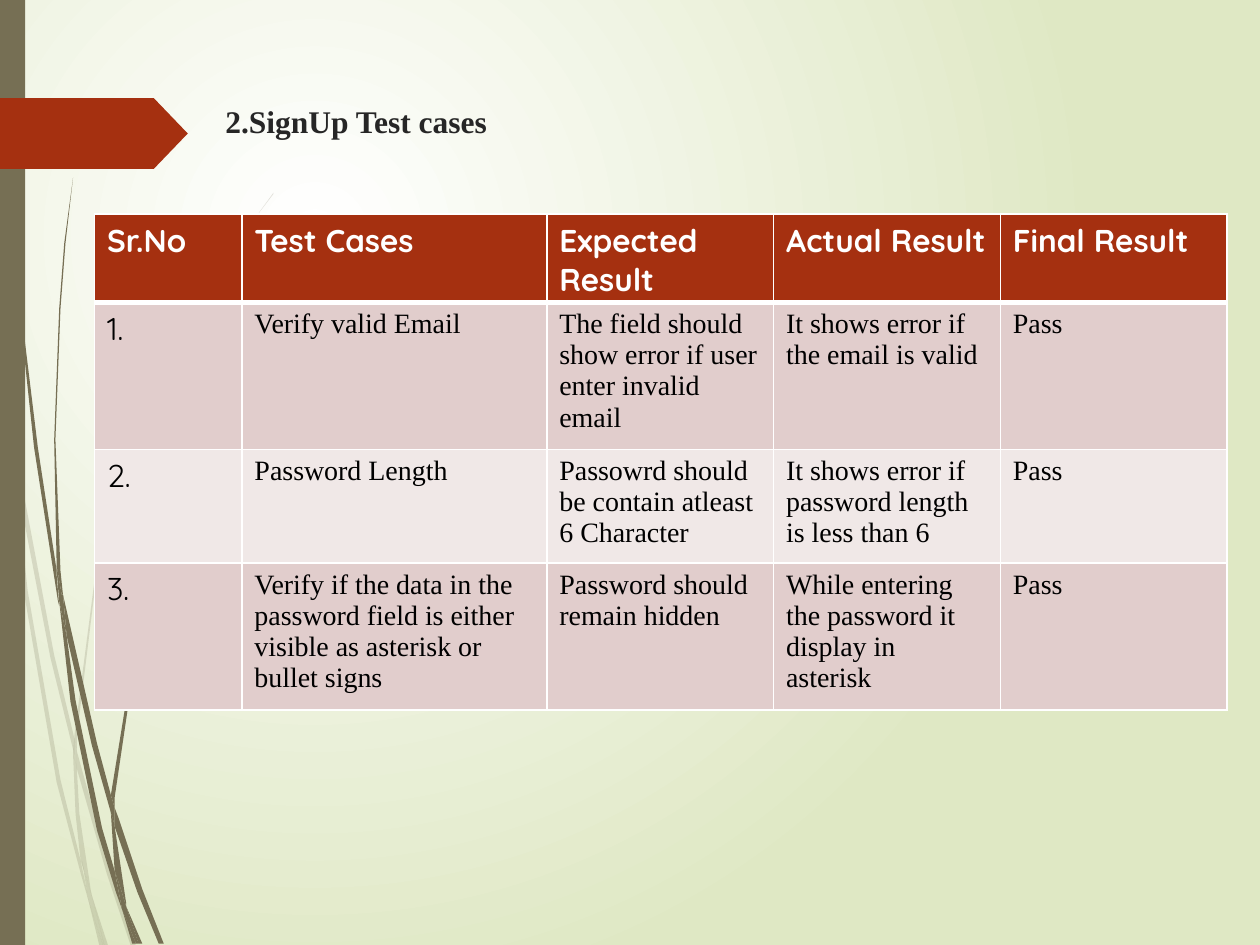
from lxml import etree
from pptx import Presentation, util as u
from pptx.dml.color import RGBColor
from pptx.enum import shapes, text
from pptx.oxml.ns import qn

OLIVE, RUST, WHITE = "766F54", "A53010", "FFFFFF"


def paint(fill, color):
    fill.solid()
    fill.fore_color.rgb = RGBColor.from_string(color)


def write(tf, content, size=16, font="Times New Roman", color="000000", bold=False):
    tf.word_wrap = True
    p = tf.paragraphs[0]
    p.alignment = text.PP_ALIGN.LEFT
    r = p.add_run()
    r.text = content
    r.font.size, r.font.name, r.font.bold = u.Pt(size), font, bold
    paint(r.font.fill, color)


prs = Presentation()
prs.slide_width, prs.slide_height = u.Inches(10), u.Inches(7.5)
s = prs.slides.add_slide(prs.slide_layouts[6])

# Radial background
bg = s.background.fill
bg.gradient()
for stop, color in zip(bg.gradient_stops, (WHITE, "DFE8C4")):
    stop.color.rgb = RGBColor.from_string(color)
grad = s.background._cSld.find(".//" + qn("a:gradFill"))
lin = grad.find(qn("a:lin"))
radial = etree.Element(qn("a:path"), {"path": "circle"})
etree.SubElement(radial, qn("a:fillToRect"), l="50000", t="50000", r="100000", b="100000")
grad.replace(lin, radial)

# Grass blades: outline points in hundredths of an inch
pale_blades = [
    "8,350 6,322 0,282 0,299 7,344",
    "40,522 59,599 59,586 43,520 10,345 12,376",
    "64,607 61,596 61,610 85,694 104,751 108,751 88,692",
    "83,751 86,751 73,711",
    "64,683 48,619 22,469 12,376 8,350 19,470 45,621 64,693 70,714 69,707",
    "58,599 60,646 64,683 67,692 73,711 72,706 63,646 61,610 61,608",
    "61,584 76,462 111,349 159,245 187,198 201,175 217,154 217,153 201,175 "
    "186,197 158,244 110,348 75,461 59,584 59,586 61,596",
    "70,714 79,751 82,751",
    "61,608 61,610 61,596 59,586 58,599",
    "67,692 65,683 69,707 70,714 82,751 83,751 73,711",
]
dark_blades = [
    "5,110 14,233 27,355 46,477 47,481 45,457 45,453 30,355 15,232 6,109 4,48 3,0 2,0 3,48",
    "73,592 88,645 88,633 88,631 77,590 50,472 53,505",
    "94,649 91,641 91,656 109,708 126,749 130,749 113,706",
    "91,691 81,657 60,556 53,505 47,477 56,557 77,659 92,708 97,722 96,717",
    "50,472 48,453 44,349 48,245 52,193 58,141 51,193 47,245 43,349 45,449 49,472",
    "110,749 113,749 100,719",
    "47,477 53,505 50,472 49,472 45,449 45,453",
    "91,633 103,552 131,476 169,406 191,374 203,359 216,344 215,344 203,358 "
    "191,373 168,405 129,474 101,551 88,631 91,641",
    "97,722 105,749 108,749",
    "88,645 91,691 96,706 100,719 100,716 91,656 90,651",
    "88,645 90,651 91,656 91,641 88,631 88,633",
    "96,706 91,691 96,717 97,722 108,749 110,749 100,719",
]
for blades, alpha in ((pale_blades, 20), (dark_blades, 100)):
    for outline in blades:
        pts = [tuple(map(int, pair.split(","))) for pair in outline.split()]
        fb = s.shapes.build_freeform(*pts[0], scale=u.Inches(0.01))
        fb.add_line_segments(pts[1:], close=True)
        sp = fb.convert_to_shape()
        sp.shadow.inherit = False
        paint(sp.fill, OLIVE)
        sp.line.fill.background()
        if alpha < 100:
            clr = sp._element.spPr.find(qn("a:solidFill"))[0]
            etree.SubElement(clr, qn("a:alpha"), val=str(alpha * 1000))

# Side band and arrow tab
for kind, top, width, height, color in (
    (shapes.MSO_SHAPE.RECTANGLE, 0, 0.2, 7.5, OLIVE),
    (shapes.MSO_SHAPE.PENTAGON, 0.78, 1.49, 0.56, RUST),
):
    sp = s.shapes.add_shape(kind, 0, u.Inches(top), u.Inches(width), u.Inches(height))
    sp.shadow.inherit = False
    paint(sp.fill, color)
    sp.line.fill.background()
sp.adjustments[0] = 0.48

# Title
tb = s.shapes.add_textbox(u.Inches(1.69), u.Inches(0.76), u.Inches(2.87), u.Inches(0.63))
write(tb.text_frame, "2.SignUp Test cases", size=18, color="262626", bold=True)

# Test case table
rows = [
    ("Sr.No", "Test Cases", "Expected Result", "Actual Result", "Final Result"),
    ("1.", "Verify valid Email", "The field should show error if user enter invalid email",
     "It shows error if the email is valid", "Pass"),
    ("2.", "Password Length", "Passowrd should be contain atleast 6 Character",
     "It shows error if password length is less than 6", "Pass"),
    ("3.", "Verify if the data in the password field is either visible as asterisk or bullet signs",
     "Password should remain hidden", "While entering the password it display in asterisk", "Pass"),
]
widths = [1.17, 2.42, 1.8, 1.8, 1.8]
row_fills = [RUST, "E1CDCC", "F0E8E7", "E1CDCC"]
tbl = s.shapes.add_table(len(rows), len(widths), u.Inches(0.75), u.Inches(1.7),
                         u.Inches(sum(widths)), u.Inches(0.66 * len(rows))).table
for col, width in zip(tbl.columns, widths):
    col.width = u.Inches(width)
for i, row in enumerate(rows):
    for j, content in enumerate(row):
        cell = tbl.cell(i, j)
        if i == 0:
            write(cell.text_frame, content, size=18, font="Quicksand", color=WHITE, bold=True)
        elif j == 0:
            write(cell.text_frame, content, size=18, font="Quicksand")
        else:
            write(cell.text_frame, content)
        # Borders come before the fill; the rule under the header is thicker
        tcPr = cell._tc.get_or_add_tcPr()
        for side in "LRTB":
            thick = (i, side) in ((0, "B"), (1, "T"))
            ln = etree.SubElement(tcPr, qn("a:ln" + side), w=str(u.Pt(3 if thick else 1)))
            solid = etree.SubElement(ln, qn("a:solidFill"))
            etree.SubElement(solid, qn("a:srgbClr"), val=WHITE)
        paint(cell.fill, row_fills[i])

prs.save("out.pptx")
